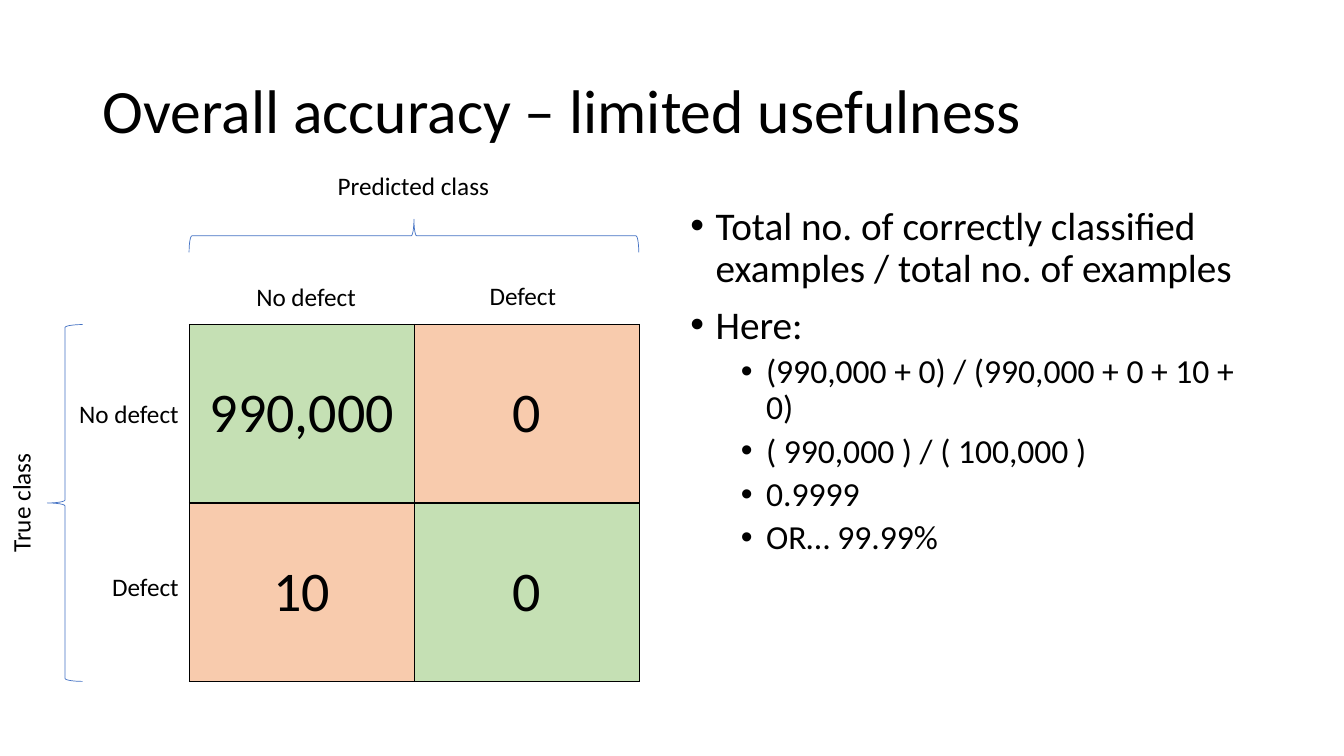
import lxml.etree
import pptx
import pptx.dml.color
import pptx.enum.shapes
import pptx.enum.text
import pptx.oxml
import pptx.oxml.ns
import pptx.util

PX = 9144
FONT = "Calibri"
COLORS = {
    "text": "000000",
    "border": "000000",
    "brace": "4472C4",
    "correct": "C5E0B4",
    "wrong": "F8CBAD",
}
ALIGN = pptx.enum.text.PP_ALIGN
ANCHOR = pptx.enum.text.MSO_ANCHOR
AUTO_SIZE = pptx.enum.text.MSO_AUTO_SIZE

MATRIX_LEFT, MATRIX_TOP = 188, 322
CELL_WIDTH, CELL_HEIGHT = 223, 177
COUNTS = [["990,000", "0"], ["10", "0"]]
BULLETS = [
    (0, "Total no. of correctly classified examples / total no. of examples"),
    (0, "Here:"),
    (1, "(990,000 + 0) / (990,000 + 0 + 10 + 0)"),
    (1, "( 990,000 ) / ( 100,000 )"),
    (1, "0.9999"),
    (1, "OR… 99.99%"),
]
LABELS = [
    ("True class", -64, 479, 169, ALIGN.CENTER, 270),
    ("Predicted class", 295, 164, 230, ALIGN.CENTER, 0),
    ("No defect", 18, 390, 169, ALIGN.RIGHT, 0),
    ("Defect", 18, 562, 169, ALIGN.RIGHT, 0),
    ("No defect", 219, 274, 169, ALIGN.CENTER, 0),
    ("Defect", 434, 273, 169, ALIGN.CENTER, 0),
]


def color(name):
    return pptx.dml.color.RGBColor.from_string(COLORS[name])


def frame(*lengths):
    return [length * PX for length in lengths]


def format_para(para, size, align):
    para.alignment = align
    para.font.name = FONT
    para.font.size = pptx.util.Pt(size)
    para.font.color.rgb = color("text")


def set_title(page, text):
    title = page.shapes.title
    title.left, title.top, title.width, title.height = frame(92, 40, 1150, 145)
    title.text_frame.text = text
    title.text_frame.auto_size = AUTO_SIZE.NONE
    title.text_frame.vertical_anchor = ANCHOR.MIDDLE
    para = title.text_frame.paragraphs[0]
    format_para(para, 44, ALIGN.LEFT)
    para.line_spacing = 0.9


def add_label(page, text, left, top, width, align, rotation):
    box = page.shapes.add_textbox(*frame(left, top, width, 40))
    box.rotation = rotation
    box.text_frame.word_wrap = True
    box.text_frame.auto_size = AUTO_SIZE.SHAPE_TO_FIT_TEXT
    para = box.text_frame.paragraphs[0]
    para.text = text
    format_para(para, 18, align)


def add_brace(page, left, top, width, height, rotation):
    brace = page.shapes.add_shape(
        pptx.enum.shapes.MSO_SHAPE.LEFT_BRACE, *frame(left, top, width, height)
    )
    brace.rotation = rotation
    brace.shadow.inherit = False
    brace.fill.background()
    brace.line.color.rgb = color("brace")
    brace.line.width = pptx.util.Pt(0.5)


def add_borders(cell):
    properties = cell._tc.get_or_add_tcPr()
    for index, side in enumerate(("lnL", "lnR", "lnT", "lnB")):
        border = pptx.oxml.parse_xml(
            f'<a:{side} {pptx.oxml.ns.nsdecls("a")} w="12700"><a:solidFill>'
            f'<a:srgbClr val="{COLORS["border"]}"/></a:solidFill></a:{side}>'
        )
        properties.insert(index, border)


def add_matrix(page):
    table = page.shapes.add_table(
        2, 2, *frame(MATRIX_LEFT, MATRIX_TOP, 2 * CELL_WIDTH, 2 * CELL_HEIGHT)
    ).table
    table.first_row = False
    table.horz_banding = False
    for row, counts in enumerate(COUNTS):
        for column, count in enumerate(counts):
            cell = table.cell(row, column)
            cell.text = count
            cell.vertical_anchor = ANCHOR.MIDDLE
            format_para(cell.text_frame.paragraphs[0], 40, ALIGN.CENTER)
            cell.fill.solid()
            cell.fill.fore_color.rgb = color("correct" if row == column else "wrong")
            add_borders(cell)


def add_bullet(para, level):
    properties = para._p.get_or_add_pPr()
    properties.set("marL", str((25 + 50 * level) * PX))
    properties.set("indent", str(-25 * PX))
    for tag, name, value in (("a:buFont", "typeface", "Arial"), ("a:buChar", "char", "•")):
        mark = lxml.etree.SubElement(properties, pptx.oxml.ns.qn(tag))
        mark.set(name, value)


def add_bullets(page):
    box = page.shapes.add_textbox(*frame(675, 200, 567, 476))
    box.text_frame.word_wrap = True
    for index, (level, text) in enumerate(BULLETS):
        para = box.text_frame.paragraphs[0] if index == 0 else box.text_frame.add_paragraph()
        para.text = text
        para.level = level
        para.line_spacing = 0.9
        para.space_before = pptx.util.Pt(5 if level else 10)
        add_bullet(para, level)
        format_para(para, 24 if level else 28, ALIGN.LEFT)


def main():
    deck = pptx.Presentation()
    deck.slide_width, deck.slide_height = frame(1333, 750)
    page = deck.slides.add_slide(deck.slide_layouts[5])
    set_title(page, "Overall accuracy – limited usefulness")
    add_matrix(page)
    add_bullets(page)
    add_brace(page, 47, MATRIX_TOP, 35, 2 * CELL_HEIGHT, 0)
    add_brace(page, 394, 11, 33, 2 * CELL_WIDTH, 90)
    for label in LABELS:
        add_label(page, *label)
    deck.save("out.pptx")


if __name__ == "__main__":
    main()
